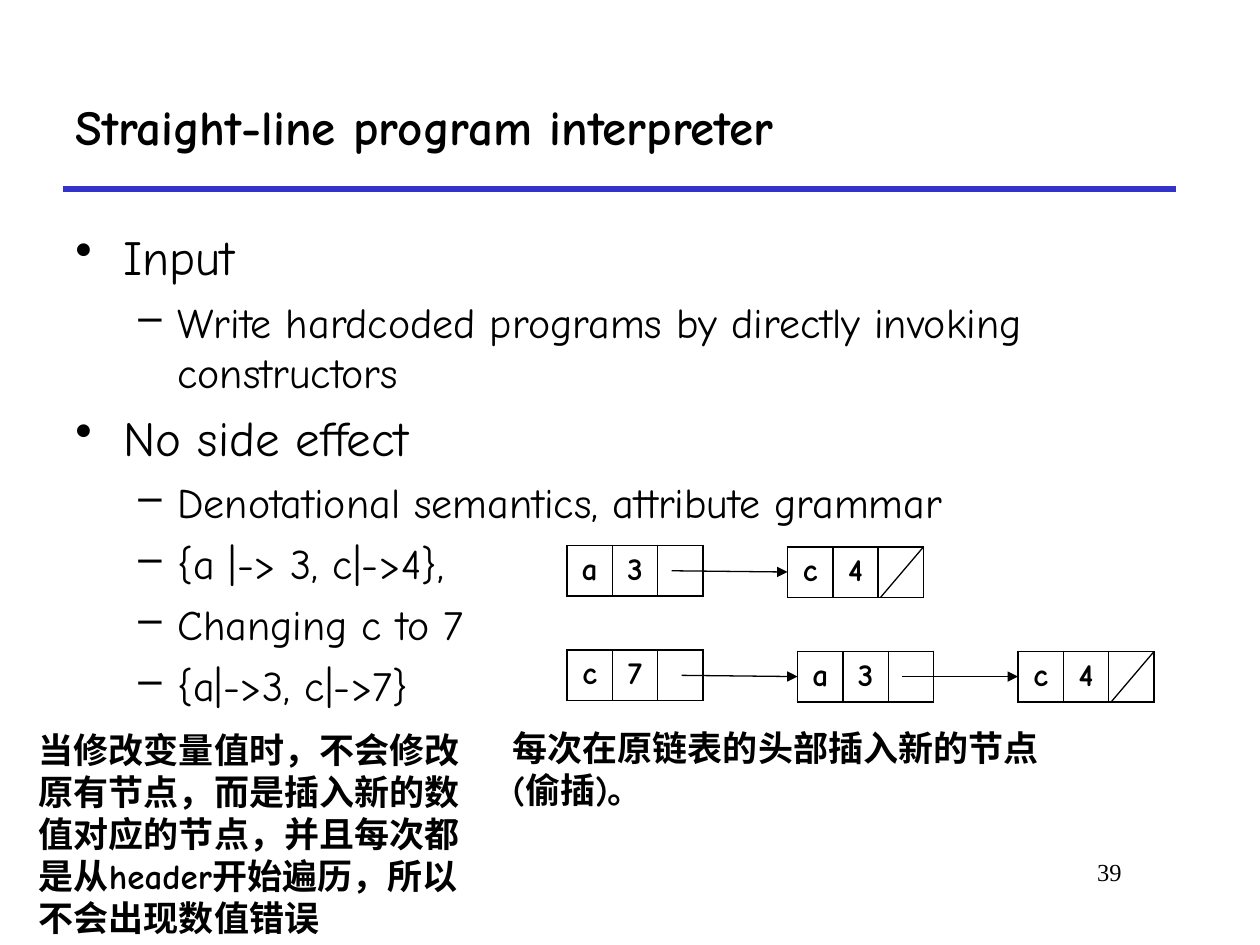
from dataclasses import dataclass

from lxml import etree
from pptx import Presentation
from pptx import util as u
from pptx.dml.color import RGBColor
from pptx.enum import shapes, text
from pptx.oxml.ns import qn


@dataclass(frozen=True)
class Theme:
    font: str = "Comic Neue"
    number_font: str = "Times New Roman"
    ink: RGBColor = RGBColor(0, 0, 0)
    rule: RGBColor = RGBColor(0x33, 0x33, 0xCC)
    heading: int = 28
    detail: int = 24
    note: int = 20
    cell: int = 18
    number: int = 14


THEME = Theme()
CELL_WIDTH = 0.36
NODE_HEIGHT = 0.4
ARROW_LENGTH = 0.92
SLASH_WIDTH = 0.34

LEVELS = (
    ("•", 0.38, 0.38, THEME.heading),
    ("–", 0.81, 0.31, THEME.detail),
)
OUTLINE = (
    (0, "Input"),
    (1, "Write hardcoded programs by directly invoking constructors"),
    (0, "No side effect"),
    (1, "Denotational semantics, attribute grammar"),
    (1, "{a |-> 3, c|->4},"),
    (1, "Changing c to 7"),
    (1, "{a|->3, c|->7}"),
)
LINKED_LISTS = (
    (("a", "3", 4.5, 4.33), ("c", "4", 6.25, 4.34)),
    (("c", "7", 4.5, 5.16), ("a", "3", 6.33, 5.17), ("c", "4", 8.08, 5.17)),
)
NOTES = (
    ("每次在原链表的头部插入新的节点(偷插)。", (3.97, 5.72, 4.39, 0.77)),
    (
        "当修改变量值时，不会修改原有节点，而是插入新的数值对应的节点，"
        "并且每次都是从header开始遍历，所以不会出现数值错误",
        (0.21, 5.73, 3.76, 1.78),
    ),
)


def format_runs(paragraph, size, bold=False, font=THEME.font):
    for run in paragraph.runs:
        run.font.name = font
        run.font.size = u.Pt(size)
        run.font.bold = bold
        run.font.color.rgb = THEME.ink


def add_box(slide, box):
    text_frame = slide.shapes.add_textbox(*map(u.Inches, box)).text_frame
    text_frame.word_wrap = True
    return text_frame


def add_text(slide, content, box, size, bold=False, font=THEME.font):
    text_frame = add_box(slide, box)
    text_frame.text = content
    format_runs(text_frame.paragraphs[0], size, bold, font)
    return text_frame


def add_outline(slide, items, box):
    text_frame = add_box(slide, box)
    for index, (level, content) in enumerate(items):
        paragraph = text_frame.add_paragraph() if index else text_frame.paragraphs[0]
        bullet, margin, hanging, size = LEVELS[level]
        paragraph.text = content
        paragraph.level = level
        if index:
            paragraph.space_before = u.Pt(6)
        properties = paragraph._p.get_or_add_pPr()
        properties.set("marL", str(u.Inches(margin)))
        properties.set("indent", str(-u.Inches(hanging)))
        etree.SubElement(properties, qn("a:buChar"), char=bullet)
        format_runs(paragraph, size)


def add_line(slide, start, end, color=THEME.ink, width=0.75, arrow=False):
    connector = slide.shapes.add_connector(
        shapes.MSO_CONNECTOR.STRAIGHT, *map(u.Inches, (*start, *end))
    )
    connector.line.color.rgb = color
    connector.line.width = u.Pt(width)
    properties = connector._element.spPr
    if arrow:
        etree.SubElement(properties.find(qn("a:ln")), qn("a:tailEnd"), type="triangle")
    etree.SubElement(properties, qn("a:effectLst"))


def set_borders(cell):
    properties = cell._tc.get_or_add_tcPr()
    for side in ("lnL", "lnR", "lnT", "lnB"):
        border = etree.SubElement(properties, qn(f"a:{side}"), w=str(u.Pt(1)))
        fill = etree.SubElement(border, qn("a:solidFill"))
        etree.SubElement(fill, qn("a:srgbClr"), val=str(THEME.ink))


def add_node(slide, name, value, left, top):
    width = 3 * CELL_WIDTH
    frame = slide.shapes.add_table(
        1, 3, *map(u.Inches, (left, top, width, NODE_HEIGHT))
    )
    table = frame.table
    table.first_row = False
    table.horz_banding = False
    for column, content in enumerate((name, value, "")):
        table.columns[column].width = u.Inches(CELL_WIDTH)
        cell = table.cell(0, column)
        set_borders(cell)
        cell.fill.background()
        cell.text_frame.text = content
        paragraph = cell.text_frame.paragraphs[0]
        paragraph.alignment = text.PP_ALIGN.CENTER
        format_runs(paragraph, THEME.cell, bold=True)


def add_linked_list(slide, nodes):
    for node in nodes:
        add_node(slide, *node)
    for (*_, source_top), (*_, left, top) in zip(nodes, nodes[1:]):
        middle = NODE_HEIGHT / 2
        start = (left - ARROW_LENGTH, source_top + middle)
        add_line(slide, start, (left, top + middle), arrow=True)
    *_, left, top = nodes[-1]
    right = left + 3 * CELL_WIDTH
    add_line(slide, (right - SLASH_WIDTH, top + NODE_HEIGHT), (right, top))


def main():
    presentation = Presentation()
    presentation.slide_width = u.Inches(10)
    presentation.slide_height = u.Inches(7.5)
    slide = presentation.slides.add_slide(presentation.slide_layouts[6])

    add_line(slide, (0.5, 1.5), (9.33, 1.5), THEME.rule, 3)
    number = add_text(
        slide, "39", (7.58, 6.75, 1.42, 0.5), THEME.number, font=THEME.number_font
    )
    number.paragraphs[0].alignment = text.PP_ALIGN.RIGHT
    title = add_text(
        slide, "Straight-line program interpreter", (0.5, 0.5, 8.83, 1),
        THEME.heading, bold=True,
    )
    title.vertical_anchor = text.MSO_ANCHOR.MIDDLE
    add_outline(slide, OUTLINE, (0.5, 1.75, 9.08, 4.83))
    for nodes in LINKED_LISTS:
        add_linked_list(slide, nodes)
    for content, box in NOTES:
        note = add_text(slide, content, box, THEME.note, bold=True)
        note.auto_size = text.MSO_AUTO_SIZE.SHAPE_TO_FIT_TEXT

    presentation.save("out.pptx")


if __name__ == "__main__":
    main()
